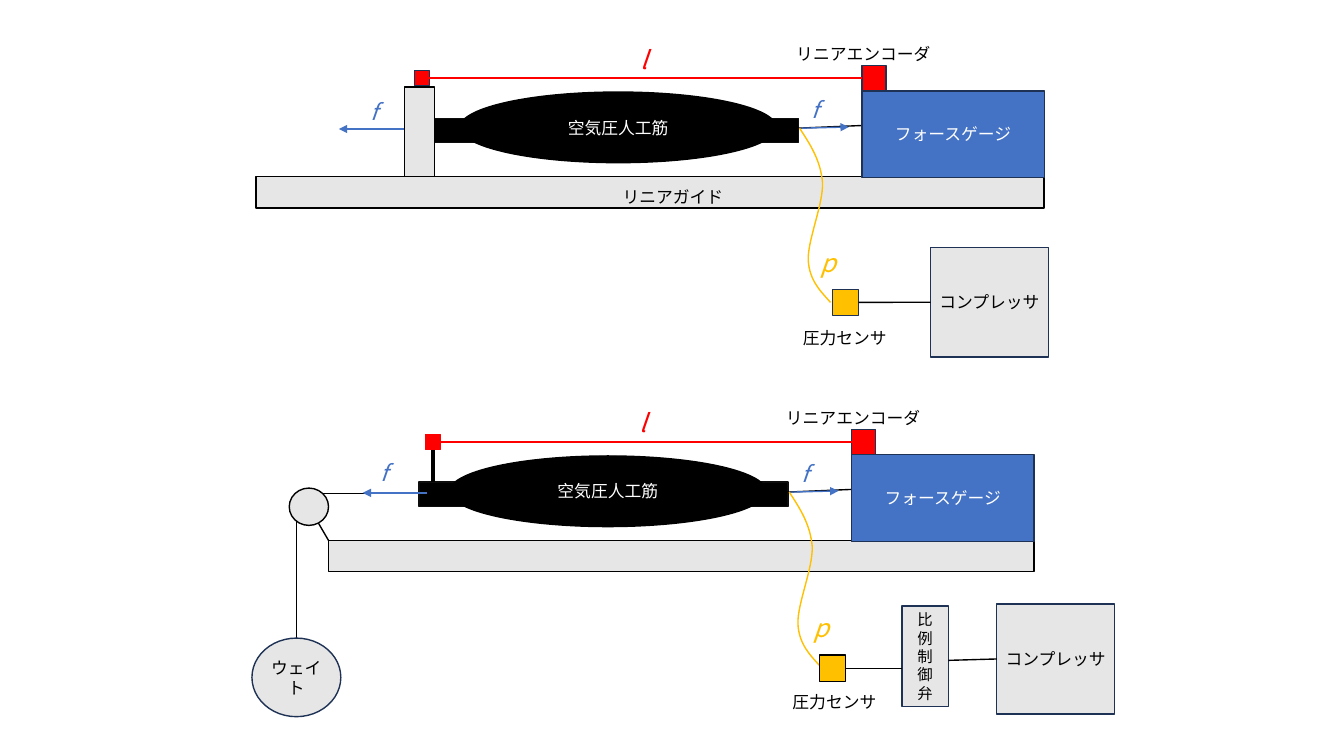
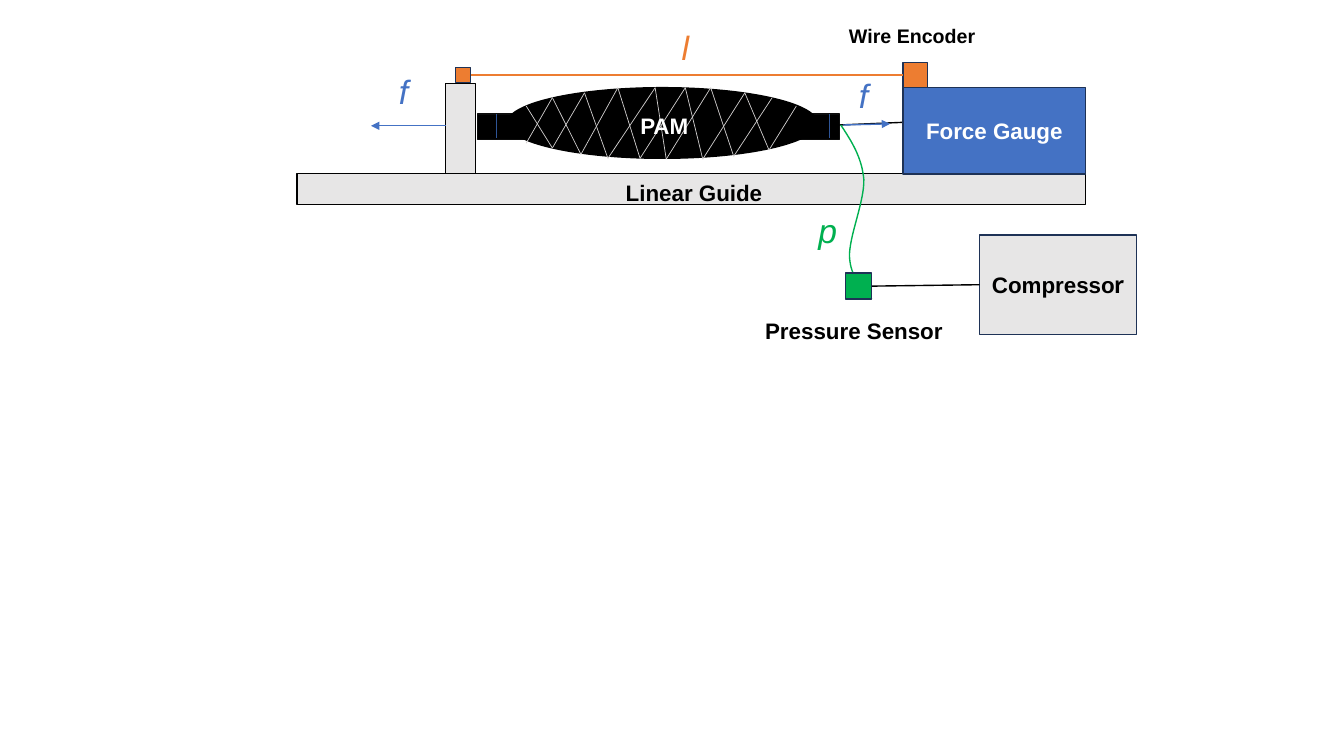
import pptx
import pptx.util
import pptx.dml.color
import pptx.enum.shapes
import pptx.enum.text
import pptx.oxml
from dataclasses import dataclass
from pptx.util import Cm


@dataclass(frozen=True)
class Theme:
    cjk: str = "Noto Sans CJK JP"
    black: str = "000000"
    white: str = "FFFFFF"
    gray: str = "E7E6E6"
    blue: str = "4472C4"
    navy: str = "1E3256"
    tube: str = "0D0D0D"
    hatch: str = "D0CECE"
    collar: str = "2F5597"
    line: float = 1
    thin: float = 0.5
    stem: float = 3
    valve: float = 11


T = Theme()

# Looks: font, boldness, accent colours and type sizes of each slide
JAPANESE = dict(font=T.cjk, bold=False, length="FF0000", pressure="FFC000",
                text=12, encoder=12, force=16, symbol=18)
ENGLISH = dict(font="Arial", bold=True, length="ED7D31", pressure="00B050",
               text=16, encoder=14, force=24, symbol=24)

# Parts placed alike in every rig, in cm from the top left of the force gauge
GAUGE = (0, 0, 4.6, 2.18)
ENCODER = (0, -0.64, 0.61, 0.64)
POST = (-11.53, -0.1, 0.76, 2.29)
ROD = ((-1.62, 0.94), (0.3, 0.86))
PULL = ((-1.52, 0.94), (-0.33, 0.91))
HOSE_START = (-1.57, 0.94)
HOSE_CURVES = [
    ((-1.3, 1.35), (-1.04, 1.75), (-0.99, 2.31)),
    ((-0.97, 2.87), (-1.37, 3.76), (-1.35, 4.27)),
    ((-1.32, 4.78), (-1.04, 5.05), (-0.79, 5.33)),
]
MARKER_TOP, MARKER_SIZE, SENSOR_SIZE = -0.51, 0.38, 0.66
FORCE_Y = 0.96

# Rigs: boxes are left, top, width, height; labels are text, centre x, centre y
GUIDED = dict(
    look=JAPANESE, origin=(21.72, 2.29), post=True,
    guide=(-15.27, 2.16, 19.86, 0.79), marker_x=-11.28, force=(-11.53, -13.18),
    tube=(-10.9, 0.69, 9.3, 0.61), bladder=(-10.13, 0.03, 7.98, 1.78),
    muscle="空気圧人工筋", gauge="フォースゲージ", compressor="コンプレッサ",
    sensor=(-0.74, 5.0), compressor_box=(1.73, 3.94, 2.97, 2.77),
    forces=[("f", -12.29, 0.51), ("f", -1.17, 0.48)],
    length=("l", -5.5, -0.79), pressure=("p", -0.84, 4.32),
    encoder=("リニアエンコーダ", 0.04, -0.94),
    texts=[("圧力センサ", -0.43, 6.22), ("リニアガイド", -4.76, 2.67)])
WEIGHTED = dict(
    GUIDED, origin=(21.46, 11.46), post=False,
    guide=(-13.18, 2.16, 17.78, 0.79), marker_x=-10.74, force=(-10.69, -12.32),
    sensor=(-0.81, 5.05), compressor_box=(3.66, 3.76, 2.97, 2.77),
    forces=[("f", -11.79, 0.46), ("f", -1.17, 0.48)],
    length=("l", -5.25, -0.81), pressure=("p", -0.76, 4.34),
    texts=[("圧力センサ", -0.43, 6.22)],
    valve=("比例制御弁", (1.27, 3.81, 1.17, 2.54)),
    weight=("ウェイト", (-15.11, 4.62, 2.24, 1.98)))
BRAIDED = dict(
    GUIDED, look=ENGLISH, origin=(22.76, 2.21), force=(-11.53, -13.41),
    tube=(-10.72, 0.66, 9.12, 0.64), bladder=(-9.98, 0, 7.82, 1.78),
    muscle="", gauge="Force Gauge", compressor="Compresso",
    sensor=(-1.45, 4.67), compressor_box=(1.93, 3.71, 3.96, 2.51),
    forces=[("f", -12.59, 0.08), ("f", -1.0, 0.18)],
    length=("l", -5.49, -1.02), pressure=("p", -1.9, 3.58),
    encoder=("Wire Encoder", 0.23, -1.32),
    texts=[("Pressure Sensor", -1.24, 6.11), ("Linear Guide", -5.27, 2.63)])

# Pulley of the weighted rig
PULLEY = (-14.17, 0.84, 0.99, 0.94)
BRACKET = ((-13.18, 2.16), (-13.67, 1.32))
CABLE = ((-13.59, 0.97), (-10.67, 0.97))
ROPE = ((-13.99, 1.63), (-13.99, 4.62))

# Braid of the muscle
MUSCLE_LABEL = ("PAM", -6.02, 0.95)
BRAID_TOP = [(-9.5, 0.46), (-8.84, 0.25), (-8.03, 0.13), (-7.19, 0), (-6.25, 0),
             (-5.49, 0), (-4.85, 0), (-3.99, 0.13), (-3.3, 0.25), (-2.69, 0.46)]
BRAID_BOTTOM = [(-9.5, 1.4), (-8.84, 1.52), (-8.12, 1.68), (-7.44, 1.78),
                (-6.63, 1.78), (-5.97, 1.8), (-5.05, 1.8), (-4.27, 1.73),
                (-3.38, 1.57)]
COLLARS = [-10.24, -1.85]

RECT = pptx.enum.shapes.MSO_SHAPE.RECTANGLE
OVAL = pptx.enum.shapes.MSO_SHAPE.OVAL


def rgb(value):
    return pptx.dml.color.RGBColor.from_string(value)


def bezier(start, curve, steps=16):
    """Points along a cubic curve, without its start."""
    points = (start, *curve)
    for i in range(1, steps + 1):
        t = i / steps
        weights = ((1 - t) ** 3, 3 * t * (1 - t) ** 2, 3 * t * t * (1 - t), t ** 3)
        yield tuple(sum(w * pt[axis] for w, pt in zip(weights, points))
                    for axis in (0, 1))


class Rig:
    """Draws one test rig, measured from the corner of its force gauge."""

    def __init__(self, s, rig):
        self.s, self.rig, self.look = s, rig, rig["look"]

    def at(self, x, y):
        ox, oy = self.rig["origin"]
        return Cm(ox + x), Cm(oy + y)

    def set_text(self, sp, text, size, color, italic=False, wrap=True, inset=0):
        tf = sp.text_frame
        tf.word_wrap = wrap
        tf.vertical_anchor = pptx.enum.text.MSO_ANCHOR.MIDDLE
        tf.margin_left = tf.margin_right = Cm(inset)
        tf.margin_top = tf.margin_bottom = 0
        p = tf.paragraphs[0]
        p.text = text
        p.alignment = pptx.enum.text.PP_ALIGN.CENTER
        p.font.name, p.font.size = self.look["font"], pptx.util.Pt(size)
        p.font.bold, p.font.italic = self.look["bold"] and not italic, italic
        p.font.color.rgb = rgb(color)
        # East Asian letters take the same font
        ea = pptx.oxml.parse_xml(
            '<a:ea xmlns:a="http://schemas.openxmlformats.org/drawingml/2006/main"'
            f' typeface="{self.look["font"]}"/>')
        p._p.get_or_add_pPr().get_or_add_defRPr().append(ea)
        return p

    def box(self, place, fill, line=T.black, kind=RECT):
        x, y, w, h = place
        sp = self.s.shapes.add_shape(kind, *self.at(x, y), Cm(w), Cm(h))
        sp.shadow.inherit = False
        sp.fill.solid()
        sp.fill.fore_color.rgb = rgb(fill)
        sp.line.color.rgb = rgb(line)
        sp.line.width = pptx.util.Pt(T.line)
        return sp

    def label(self, item, size, color, italic=False):
        text, x, y = item
        w, h = 0.04 * size * len(text), 0.05 * size
        sp = self.s.shapes.add_textbox(*self.at(x - w / 2, y - h / 2), Cm(w), Cm(h))
        self.set_text(sp, text, size, color, italic, wrap=False)

    def line(self, ends, color=T.black, width=T.line, arrow=False,
             begin=None, end=None):
        straight = pptx.enum.shapes.MSO_CONNECTOR.STRAIGHT
        c = self.s.shapes.add_connector(
            straight, *self.at(*ends[0]), *self.at(*ends[1]))
        c.line.color.rgb = rgb(color)
        c.line.width = pptx.util.Pt(width)
        ns = 'xmlns:a="http://schemas.openxmlformats.org/drawingml/2006/main"'
        if arrow:
            c.line._get_or_add_ln().append(
                pptx.oxml.parse_xml(f'<a:tailEnd {ns} type="triangle"/>'))
        c._element.spPr.append(pptx.oxml.parse_xml(f"<a:effectLst {ns}/>"))
        if begin:
            c.begin_connect(*begin)
        if end:
            c.end_connect(*end)

    def hose(self):
        points = [HOSE_START]
        for curve in HOSE_CURVES:
            points += bezier(points[-1], curve)
        places = [self.at(*pt) for pt in points]
        builder = self.s.shapes.build_freeform(*places[0])
        builder.add_line_segments(places[1:], close=False)
        sp = builder.convert_to_shape()
        sp.shadow.inherit = False
        sp.fill.background()
        sp.line.color.rgb = rgb(self.look["pressure"])
        sp.line.width = pptx.util.Pt(T.line)

    def draw(self):
        rig, look = self.rig, self.look
        weighted = "weight" in rig
        # Muscle on its guide
        if weighted:
            self.line(BRACKET)
            self.line(CABLE)
        self.box(rig["tube"], T.black, T.tube)
        bladder = self.box(rig["bladder"], T.black, kind=OVAL)
        if rig["muscle"]:
            self.set_text(bladder, rig["muscle"], look["text"], T.white)
        if rig["post"]:
            self.box(POST, T.gray)
        self.box(rig["guide"], T.gray)
        # Length measurement
        encoder = self.box(ENCODER, look["length"], T.navy)
        marker = self.box((rig["marker_x"], MARKER_TOP, MARKER_SIZE, MARKER_SIZE),
                          look["length"], look["length"] if weighted else T.navy)
        self.line(((0, 0), (1, 1)), look["length"],
                  begin=(marker, 3), end=(encoder, 1))
        # Force measurement
        self.line(ROD)
        gauge = self.box(GAUGE, T.blue, T.navy)
        self.set_text(gauge, rig["gauge"], look["text"], T.white)
        self.line(PULL, T.blue, arrow=True)
        self.line([(x, FORCE_Y) for x in rig["force"]], T.blue, arrow=True)
        # Pressure supply
        self.hose()
        sensor = self.box((*rig["sensor"], SENSOR_SIZE, SENSOR_SIZE),
                          look["pressure"], T.black if weighted else T.navy)
        compressor = self.box(rig["compressor_box"], T.gray, T.navy)
        p = self.set_text(compressor, rig["compressor"], look["text"], T.black)
        if look is ENGLISH:
            r = p.add_run()
            r.text, r.font.name = "r", T.cjk
        if weighted:
            self.weighted_parts(sensor, compressor, marker)
        else:
            self.line(((0, 0), (1, 1)), begin=(sensor, 3), end=(compressor, 1))
        if look is ENGLISH:
            self.braid()
        # Labels
        for item in rig["forces"]:
            self.label(item, look["force"], T.blue, italic=True)
        for name in ("length", "pressure"):
            self.label(rig[name], look["symbol"], look[name], italic=True)
        self.label(rig["encoder"], look["encoder"], T.black)
        for item in rig["texts"]:
            self.label(item, look["text"], T.black)

    def weighted_parts(self, sensor, compressor, marker):
        text, place = self.rig["valve"]
        valve = self.box(place, T.gray, T.navy)
        self.set_text(valve, text, T.valve, T.black, inset=0.36)
        x, y = self.rig["sensor"]
        level = y + SENSOR_SIZE / 2
        self.line(((x, level), (place[0], level)), begin=(sensor, 3))
        self.line(((place[0] + place[2], 5.18), (4, 5)), end=(compressor, 1))
        stem_x = self.rig["marker_x"] + MARKER_SIZE / 2
        self.line(((stem_x, 0), (stem_x, self.rig["tube"][1])),
                  width=T.stem, begin=(marker, 2))
        self.line(ROPE)
        text, place = self.rig["weight"]
        weight = self.box(place, T.gray, T.navy, OVAL)
        self.set_text(weight, text, self.look["text"], T.black)
        self.box(PULLEY, T.gray, kind=OVAL)

    def braid(self):
        strands = [*zip(BRAID_TOP[1:], BRAID_BOTTOM), *zip(BRAID_TOP, BRAID_BOTTOM[1:])]
        for ends in strands:
            self.line(ends, T.hatch, T.thin)
        for x in COLLARS:
            self.line(((x, 0.66), (x, 1.27)), T.collar, T.thin)
        self.label(MUSCLE_LABEL, self.look["text"], T.white)


def main():
    prs = pptx.Presentation()
    prs.slide_width, prs.slide_height = Cm(33.87), Cm(19.05)
    for rigs in ([GUIDED, WEIGHTED], [BRAIDED]):
        s = prs.slides.add_slide(prs.slide_layouts[6])
        for rig in rigs:
            Rig(s, rig).draw()
    prs.save("out.pptx")


if __name__ == "__main__":
    main()
